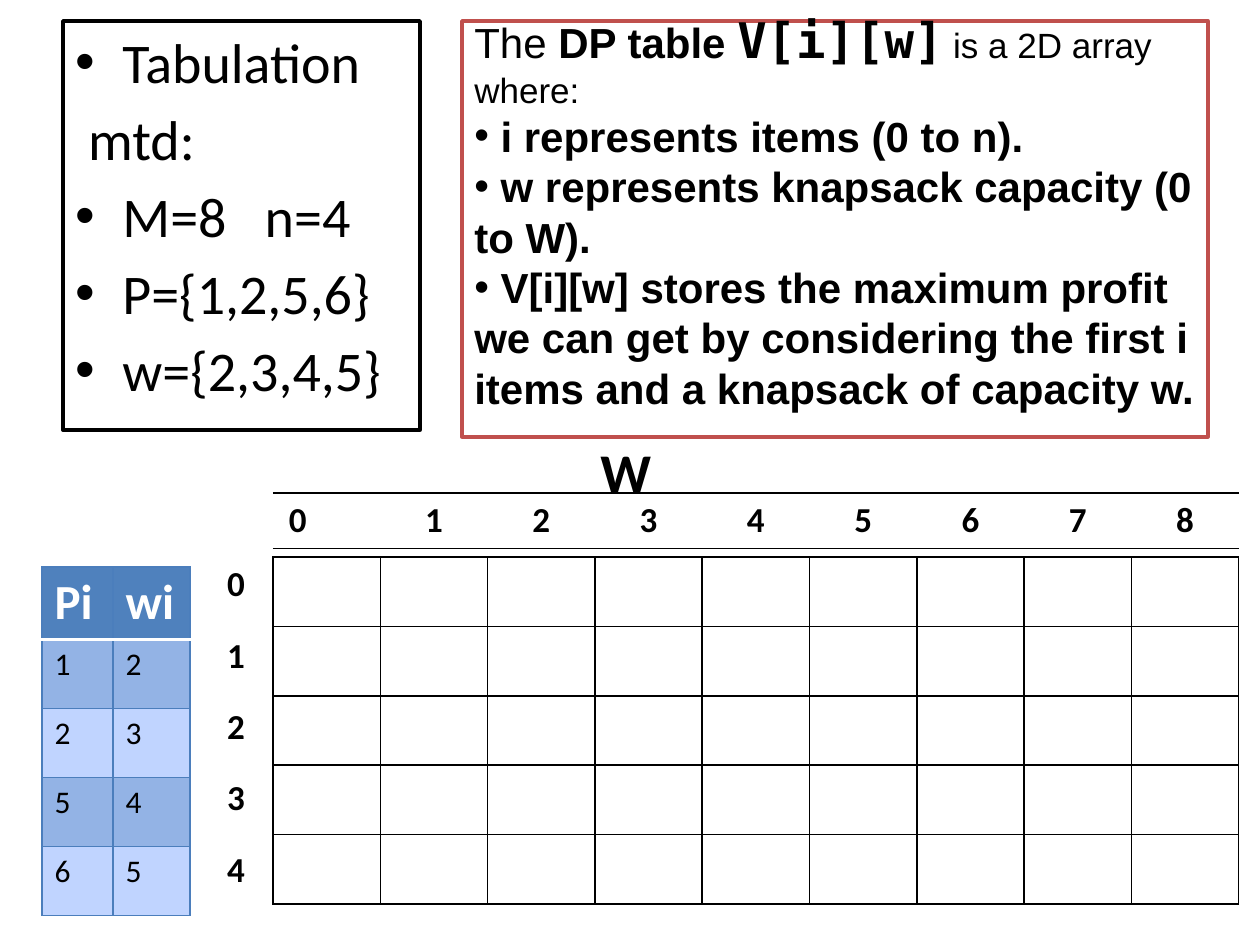
from dataclasses import dataclass
from typing import NamedTuple

from lxml import etree
from pptx import Presentation
from pptx import util as u
from pptx.dml.color import RGBColor
from pptx.enum import shapes, text
from pptx.oxml import ns

SCALE = 914400 / 126  # EMU in one px
PLAIN = "{2D5ABB26-0587-4C30-8999-92F81FD0307C}"  # table style with no grid


class Theme:
    sans, arial, mono = "Calibri", "Arial", "DejaVu Sans Mono"
    ink, paper, red = "000000", "FFFFFF", "C0504D"
    head, rule, dark, light = "4F81BD", "4B7EBC", "93B3E5", "C0D4FF"
    large, title, mid, label, small = 32, 28, 24, 20, 18


class Run(NamedTuple):
    words: str
    size: int
    font: str = Theme.sans
    bold: bool = False
    color: str = Theme.ink
    track: int = 0  # extra letter gap, 1/100 pt


class Box(NamedTuple):
    x: int
    y: int
    w: int
    h: int


class Edge(NamedTuple):
    color: str
    width: float
    sides: str = "LRTB"


@dataclass
class Grid:
    box: Box
    cols: tuple[int, ...]  # relative widths
    rows: tuple[int, ...]  # relative heights
    edges: tuple[Edge, ...] = ()


def px(n: float) -> int:
    return round(n * SCALE)


def rgb(code: str) -> RGBColor:
    return RGBColor.from_string(code)


def add_text(para, runs: list[Run], *, align=None, bullet=False, hang=0, before=0) -> None:
    """Fill one paragraph with formatted runs."""
    props = para._p.get_or_add_pPr()
    props.set("marL", str(px(hang)))
    props.set("indent", str(-px(hang)))
    if bullet:
        etree.SubElement(props, ns.qn("a:buFont")).set("typeface", Theme.arial)
        etree.SubElement(props, ns.qn("a:buChar")).set("char", "•")
    else:
        etree.SubElement(props, ns.qn("a:buNone"))
    para.space_before = u.Pt(before)
    para.alignment = align
    for item in runs:
        run = para.add_run()
        run.text = item.words
        font = run.font
        font.name, font.size, font.bold = item.font, u.Pt(item.size), item.bold
        font.color.rgb = rgb(item.color)
        if item.track:
            run._r.get_or_add_rPr().set("spc", str(item.track))


def add_panel(slide, box: Box, line: str, anchor):
    """Draw a white outlined box and give back its text frame."""
    panel = slide.shapes.add_shape(shapes.MSO_SHAPE.RECTANGLE, *map(px, box))
    panel.shadow.inherit = False
    panel.fill.solid()
    panel.fill.fore_color.rgb = rgb(Theme.paper)
    panel.line.color.rgb = rgb(line)
    panel.line.width = u.Pt(2)
    frame = panel.text_frame
    frame.word_wrap = True
    frame.vertical_anchor = anchor
    return frame


def add_lines(frame, lines: list[tuple[list[Run], bool]], *, hang=0, gap=0) -> None:
    for i, (runs, bullet) in enumerate(lines):
        para = frame.add_paragraph() if i else frame.paragraphs[0]
        add_text(para, runs, align=text.PP_ALIGN.LEFT, bullet=bullet,
                 hang=hang, before=gap if i else 0)


def set_edges(cell, edges: tuple[Edge, ...]) -> None:
    """Put borders on a cell; a later edge wins over an earlier one."""
    props = cell._tc.get_or_add_tcPr()
    found = {side: edge for edge in edges for side in edge.sides}
    for i, side in enumerate(s for s in "LRTB" if s in found):
        line = etree.Element(ns.qn(f"a:ln{side}"), w=str(u.Pt(found[side].width)))
        fill = etree.SubElement(line, ns.qn("a:solidFill"))
        etree.SubElement(fill, ns.qn("a:srgbClr")).set("val", found[side].color)
        props.insert(i, line)


def add_grid(slide, grid: Grid):
    """Add a bare table with clear cells and the grid's borders."""
    shape = slide.shapes.add_table(len(grid.rows), len(grid.cols), *map(px, grid.box))
    table = shape.table
    table.first_row = table.horz_banding = False
    table._tbl.tblPr.find(ns.qn("a:tableStyleId")).text = PLAIN
    for col, part in zip(table.columns, grid.cols):
        col.width = px(grid.box.w * part / sum(grid.cols))
    for row, part in zip(table.rows, grid.rows):
        row.height = px(grid.box.h * part / sum(grid.rows))
    for cell in table.iter_cells():
        cell.fill.background()
        set_edges(cell, grid.edges)
    return table


def add_label(cell, words: str, align=text.PP_ALIGN.CENTER) -> None:
    add_text(cell.text_frame.paragraphs[0], [Run(words, Theme.label, bold=True)], align=align)


def add_items(slide) -> None:
    """Profit and weight table with banded rows."""
    data = [("Pi", "wi"), ("1", "2"), ("2", "3"), ("5", "4"), ("6", "5")]
    table = add_grid(slide, Grid(Box(42, 567, 148, 348), (71, 77), (72, 69, 69, 69, 69)))
    frame = Edge(Theme.rule, 0.75)
    for r, row in enumerate(data):
        if r == 0:
            fill, style = Theme.head, (Theme.title, Theme.sans, True, Theme.paper)
        else:
            fill, style = (Theme.dark if r % 2 else Theme.light), (Theme.small,)
        split = {0: "B", 1: "T"}.get(r, "")  # white rule under the heading
        for c, words in enumerate(row):
            cell = table.cell(r, c)
            cell.fill.solid()
            cell.fill.fore_color.rgb = rgb(fill)
            set_edges(cell, (frame, Edge(Theme.paper, 2, split)))
            add_text(cell.text_frame.paragraphs[0], [Run(words, *style)])


def main() -> None:
    deck = Presentation()
    deck.slide_width, deck.slide_height = px(1260), px(945)
    slide = deck.slides.add_slide(deck.slide_layouts[6])

    # Problem data
    def big(words: str, track: int = 0) -> Run:
        return Run(words, Theme.large, track=track)

    frame = add_panel(slide, Box(63, 21, 357, 409), Theme.ink, text.MSO_ANCHOR.TOP)
    add_lines(frame, [
        ([big("Tabulation")], True),
        ([big(" mtd:")], False),
        ([big("M=8"), big(" ", 1450), big("n=4")], True),
        ([big("P={1,2,5,6}")], True),
        ([big("w={2,3,4,5}")], True),
    ], hang=47, gap=5.6)

    # Empty value table, with its column and row numbers
    nine, five = (1,) * 9, (1,) * 5
    add_grid(slide, Grid(Box(273, 557, 966, 347), nine, five, (Edge(Theme.ink, 1),)))
    tops = add_grid(slide, Grid(Box(273, 493, 966, 55), nine, (1,),
                                (Edge(Theme.ink, 1, "TB"),)))
    for n in range(9):
        add_label(tops.cell(0, n), str(n),
                  text.PP_ALIGN.CENTER if n else text.PP_ALIGN.LEFT)
    tops.cell(0, 0).margin_left = px(16)
    add_items(slide)
    sides = add_grid(slide, Grid(Box(210, 557, 52, 357), (1,), five))
    for n in range(5):
        add_label(sides.cell(n, 0), str(n))

    # Meaning of the value table
    frame = add_panel(slide, Box(462, 21, 746, 416), Theme.red, text.MSO_ANCHOR.MIDDLE)
    frame.margin_bottom = px(42)
    notes = [
        " i represents items (0 to n).",
        " w represents knapsack capacity (0 to W).",
        " V[i][w] stores the maximum profit we can get by considering"
        " the first i items and a knapsack of capacity w.",
    ]
    intro = [
        Run("The ", Theme.mid, Theme.arial),
        Run("DP table ", Theme.mid, Theme.arial, True),
        Run("V[i][w]", Theme.title, Theme.mono, True),
        Run(" is a 2D array where:", Theme.label, Theme.arial),
    ]
    add_lines(frame, [(intro, False)] + [
        ([Run(note, Theme.mid, Theme.arial, True)], True) for note in notes])

    # Capacity heading
    head = slide.shapes.add_textbox(*map(px, Box(588, 431, 57, 81))).text_frame
    head.word_wrap = True
    add_text(head.paragraphs[0], [Run("W", Theme.large, bold=True)])

    deck.save("out.pptx")


if __name__ == "__main__":
    main()
